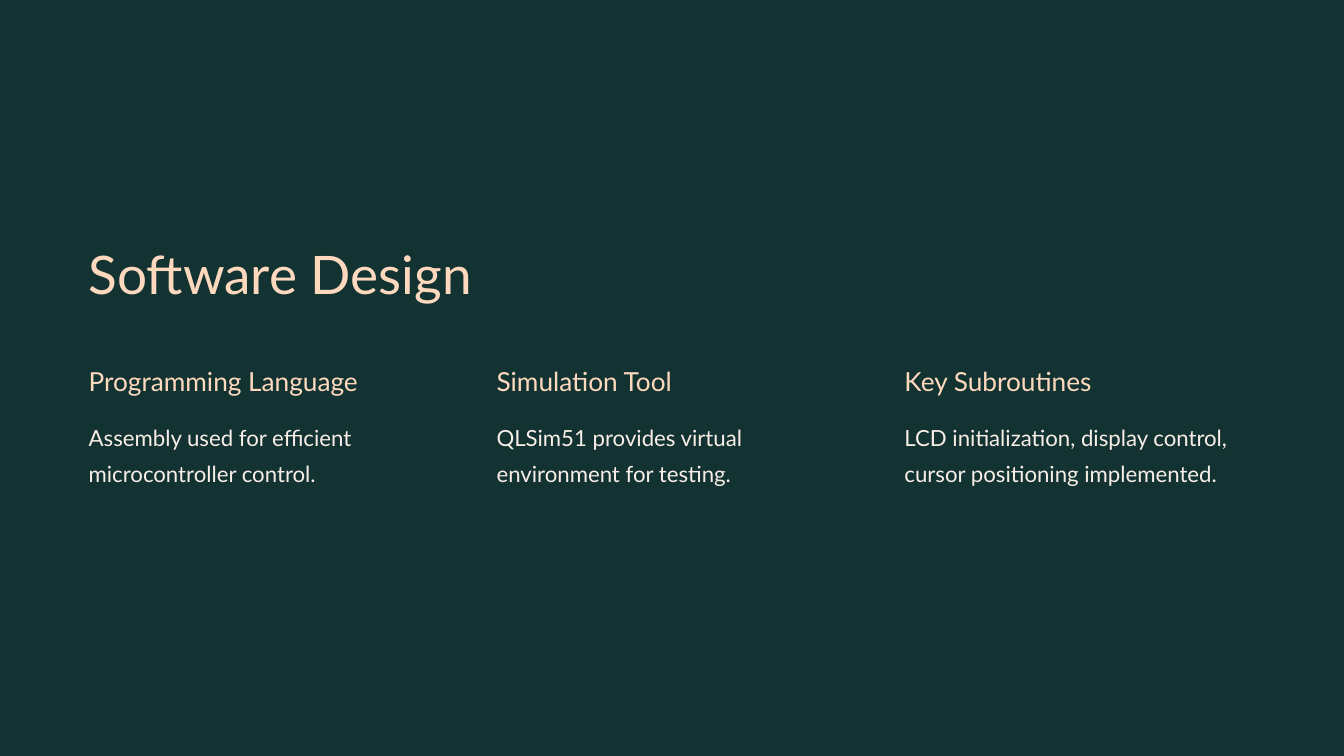
"""Build the Software Design slide with three text columns."""
from dataclasses import dataclass

from pptx import Presentation
from pptx.dml.color import RGBColor
from pptx.enum.shapes import MSO_SHAPE
from pptx.enum.text import MSO_ANCHOR, MSO_AUTO_SIZE, PP_ALIGN
from pptx.slide import Slide
from pptx.text.text import TextFrame
from pptx.util import Inches, Pt

RECTANGLE = MSO_SHAPE.RECTANGLE
LEFT = PP_ALIGN.LEFT
TOP = MSO_ANCHOR.TOP
NO_AUTOFIT = MSO_AUTO_SIZE.NONE
TITLE_ONLY = 5
FONT = "Lato"
COLORS = {"background": "123332", "heading": "FFD9BE", "body": "F9EEE7"}
PAGE_WIDTH = 20
PAGE_HEIGHT = 11.25
MARGIN = 1.32
COLUMN_PITCH = 6.07
COLUMN_WIDTH = 5.23


@dataclass(frozen=True)
class TextStyle:
    size: float
    line_spacing: float
    color: str


@dataclass(frozen=True)
class Column:
    heading: str
    body: str


TITLE_STYLE = TextStyle(56.9, 71.2, "heading")
HEADING_STYLE = TextStyle(28.1, 35.6, "heading")
BODY_STYLE = TextStyle(23.8, 38.8, "body")

COLUMNS = [
    Column("Programming Language",
           "Assembly used for efficient microcontroller control."),
    Column("Simulation Tool",
           "QLSim51 provides virtual environment for testing."),
    Column("Key Subroutines",
           "LCD initialization, display control, cursor positioning implemented."),
]


def write_text(frame: TextFrame, text: str, style: TextStyle) -> None:
    frame.word_wrap = True
    frame.auto_size = NO_AUTOFIT
    frame.vertical_anchor = TOP
    frame.margin_left = frame.margin_right = 0
    frame.margin_top = frame.margin_bottom = 0
    para = frame.paragraphs[0]
    para.alignment = LEFT
    para.line_spacing = Pt(style.line_spacing)
    para.space_before = Pt(0)
    span = para.add_run()
    span.text = text
    span.font.name = FONT
    span.font.size = Pt(style.size)
    span.font.color.rgb = RGBColor.from_string(COLORS[style.color])


def add_backdrop(page: Slide) -> None:
    backdrop = page.shapes.add_shape(
        RECTANGLE, 0, 0, Inches(PAGE_WIDTH), Inches(PAGE_HEIGHT))
    backdrop.shadow.inherit = False
    backdrop.fill.solid()
    backdrop.fill.fore_color.rgb = RGBColor.from_string(COLORS["background"])
    backdrop.line.fill.background()
    page.shapes.title.element.addprevious(backdrop.element)


def add_title(page: Slide, text: str) -> None:
    title = page.shapes.title
    title.left, title.top = Inches(MARGIN), Inches(3.55)
    title.width, title.height = Inches(7.94), Inches(1.03)
    write_text(title.text_frame, text, TITLE_STYLE)


def add_column(page: Slide, column: Column, left: float) -> None:
    for text, top, height, style in (
        (column.heading, 5.41, 0.53, HEADING_STYLE),
        (column.body, 6.17, 1.18, BODY_STYLE),
    ):
        box = page.shapes.add_textbox(
            Inches(left), Inches(top), Inches(COLUMN_WIDTH), Inches(height))
        write_text(box.text_frame, text, style)


def main() -> None:
    deck = Presentation()
    deck.slide_width = Inches(PAGE_WIDTH)
    deck.slide_height = Inches(PAGE_HEIGHT)
    page = deck.slides.add_slide(deck.slide_layouts[TITLE_ONLY])
    add_backdrop(page)
    add_title(page, "Software Design")
    for index, column in enumerate(COLUMNS):
        add_column(page, column, MARGIN + index * COLUMN_PITCH)
    deck.save("out.pptx")


if __name__ == "__main__":
    main()
